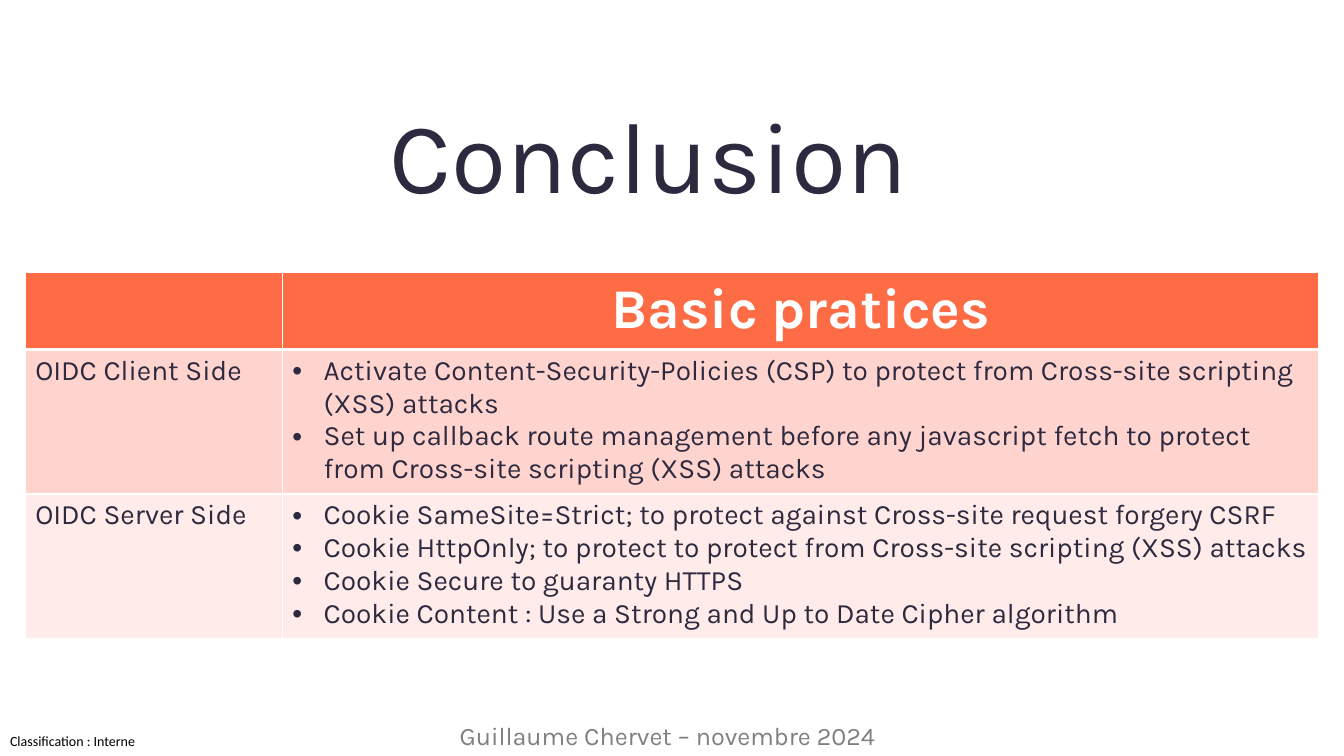
from dataclasses import dataclass

from lxml.etree import SubElement
from pptx import Presentation
from pptx.dml.color import RGBColor
from pptx.enum.text import MSO_ANCHOR as Anchor, PP_ALIGN as Align
from pptx.oxml.ns import qn
from pptx.util import Emu, Pt

EMU_PER_PX = 9144  # 100 px to the inch
INK, WHITE, ORANGE = "2D293E", "FFFFFF", "FE6C45"
BULLET_INDENT = 31


@dataclass
class Label:
    text: str
    box: tuple[int, int, int, int]
    font: dict
    paragraph: dict
    frame: dict


@dataclass
class Row:
    height: int
    fill: str
    heading: str
    items: list[str]


LABELS = [
    Label("Classification : Interne", (7, 710, 134, 33),
          {"size": Pt(10), "name": "Calibri", "color": "000000"}, {},
          {"margin_left": Emu(3 * EMU_PER_PX), "margin_right": 0, "margin_top": 0,
           "margin_bottom": 0, "vertical_anchor": Anchor.BOTTOM}),
    Label("Conclusion", (328, 125, 631, 69),
          {"size": Pt(72), "name": "Karla", "color": INK},
          {"alignment": Align.CENTER, "line_spacing": 0.9},
          {"vertical_anchor": Anchor.MIDDLE}),
    Label("Guillaume Chervet – novembre 2024", (446, 710, 480, 40),
          {"size": Pt(18), "name": "Karla", "color": "808080"}, {}, {}),
]

TABLE_BOX = (25, 270, 1283, 323)
COLUMN_WIDTHS = [255, 1028]
HEADER_FONT = {"size": Pt(40), "name": "Karla", "bold": True, "color": WHITE}
BODY_FONT = {"size": Pt(20), "name": "Karla", "bold": False, "color": INK}
HEADER = Row(67, ORANGE, "", ["Basic pratices"])
BODY = [
    Row(125, "FFD4CF", "OIDC Client Side", [
        "Activate Content-Security-Policies (CSP) to protect from Cross-site scripting (XSS) attacks",
        "Set up callback route management before any javascript fetch to protect "
        "from Cross-site scripting (XSS) attacks",
    ]),
    Row(131, "FFEBE9", "OIDC Server Side", [
        "Cookie SameSite=Strict; to protect against Cross-site request forgery CSRF",
        "Cookie HttpOnly; to protect to protect from Cross-site scripting (XSS) attacks",
        "Cookie Secure to guaranty HTTPS",
        "Cookie Content : Use a Strong and Up to Date Cipher algorithm",
    ]),
]


def px(length: int) -> Emu:
    return Emu(length * EMU_PER_PX)


def color(value: str) -> RGBColor:
    return RGBColor.from_string(value)


def set_format(target, values: dict) -> None:
    for name, value in values.items():
        if name == "color":
            target.color.rgb = color(value)
        else:
            setattr(target, name, value)


def add_label(slide, label: Label) -> None:
    frame = slide.shapes.add_textbox(*map(px, label.box)).text_frame
    frame.word_wrap = True
    set_format(frame, label.frame)
    paragraph = frame.paragraphs[0]
    paragraph.text = label.text
    set_format(paragraph, label.paragraph)
    set_format(paragraph.runs[0].font, label.font)


def add_bullet(paragraph) -> None:
    properties = paragraph._p.get_or_add_pPr()
    properties.set("marL", str(px(BULLET_INDENT)))
    properties.set("indent", str(-px(BULLET_INDENT)))
    SubElement(properties, qn("a:buFont"), typeface="Arial")
    SubElement(properties, qn("a:buChar"), char="•")


def style_cell(cell, fill: str, bottom: int) -> None:
    # Borders come before the fill in the cell properties
    properties = cell._tc.get_or_add_tcPr()
    for side, width in {"L": 1, "R": 1, "T": 1, "B": bottom}.items():
        line = SubElement(properties, qn(f"a:ln{side}"), w=str(Pt(width)))
        solid = SubElement(line, qn("a:solidFill"))
        SubElement(solid, qn("a:srgbClr"), val=WHITE)
    cell.fill.solid()
    cell.fill.fore_color.rgb = color(fill)


def write_cell(cell, lines: list[str], font: dict, bullets: bool = False) -> None:
    frame = cell.text_frame
    for index, text in enumerate(lines):
        paragraph = frame.add_paragraph() if index else frame.paragraphs[0]
        paragraph.text = text
        if bullets:
            add_bullet(paragraph)
        set_format(paragraph.font, font)
        for run in paragraph.runs:
            set_format(run.font, font)


def add_practices(slide) -> None:
    rows = [HEADER, *BODY]
    table = slide.shapes.add_table(len(rows), len(COLUMN_WIDTHS), *map(px, TABLE_BOX)).table
    for column, width in zip(table.columns, COLUMN_WIDTHS):
        column.width = px(width)
    for index, row in enumerate(rows):
        is_header = row is HEADER
        font = HEADER_FONT if is_header else BODY_FONT
        table.rows[index].height = px(row.height)
        heading, practices = table.rows[index].cells
        for cell in (heading, practices):
            style_cell(cell, row.fill, 3 if is_header else 1)
        if row.heading:
            write_cell(heading, [row.heading], font)
        write_cell(practices, row.items, font, bullets=not is_header)
        if is_header:
            practices.text_frame.paragraphs[0].alignment = Align.CENTER


def main() -> None:
    presentation = Presentation()
    presentation.slide_width, presentation.slide_height = px(1333), px(750)
    slide = presentation.slides.add_slide(presentation.slide_layouts[6])

    # Title, classification and footer
    for label in LABELS:
        add_label(slide, label)

    # Table of practices
    add_practices(slide)
    presentation.save("out.pptx")


if __name__ == "__main__":
    main()
